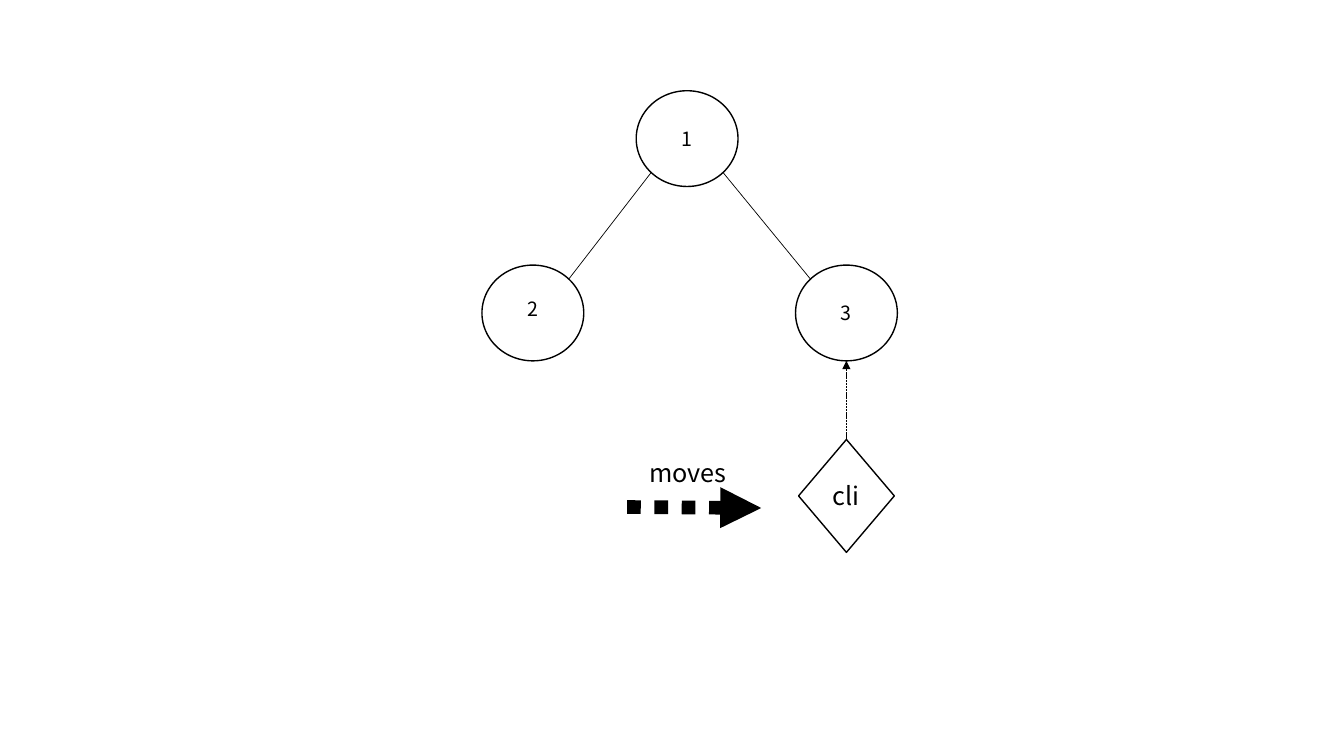
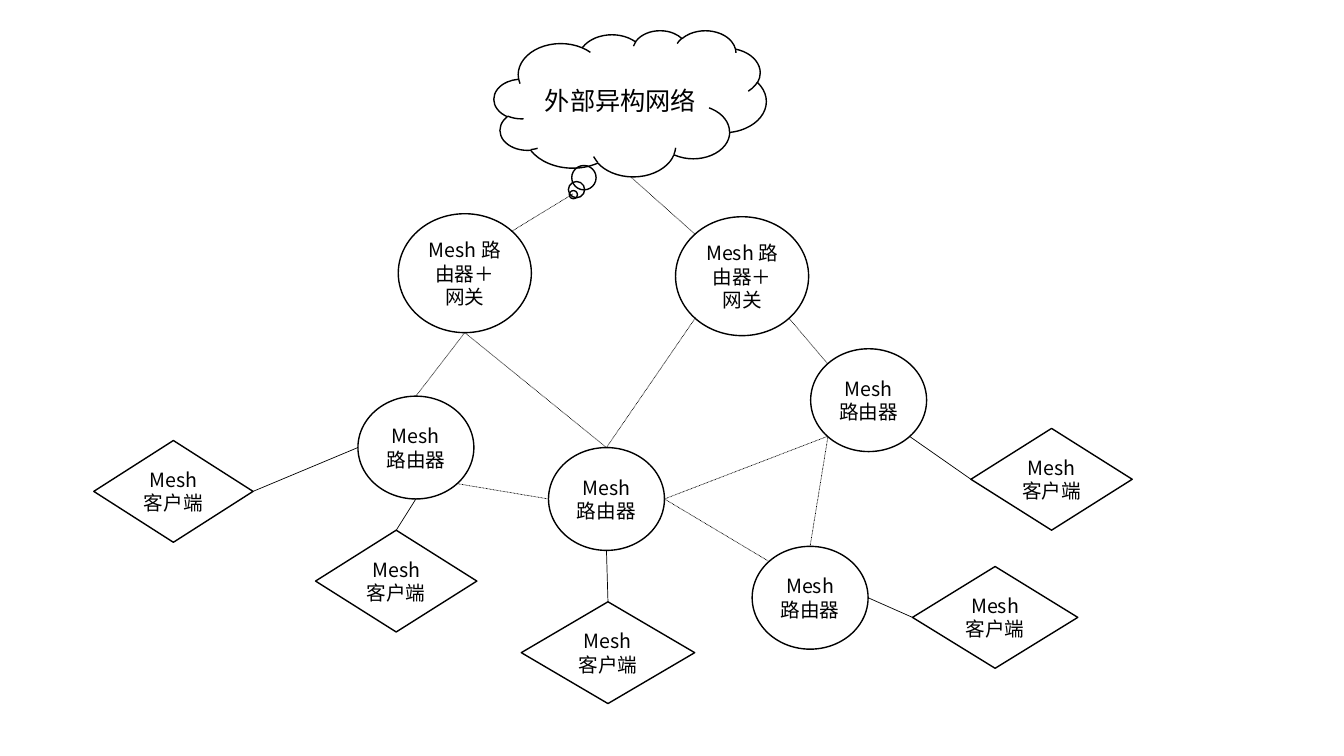
"""Build two network diagrams: a tree with a moving client, and a mesh topology."""
from lxml import etree
from pptx import Presentation
from pptx import util as u
from pptx.dml.color import RGBColor
from pptx.enum import dml, shapes, text
from pptx.oxml.ns import qn

BLACK = RGBColor(0, 0, 0)
FONT = "Noto Sans CJK SC"
SHAPE = shapes.MSO_SHAPE
DASH = dml.MSO_LINE.SQUARE_DOT
DOT = dml.MSO_LINE.ROUND_DOT

NODE = (1.01, 0.95)
GATEWAY = (1.32, 1.18)
ROUTER = (1.15, 1.02)

# name: (preset, left, top, (width, height), paragraphs, size)
TREE_NODES = {
    "left": (SHAPE.OVAL, 4.78, 2.63, NODE, ["2"], 14),
    "root": (SHAPE.OVAL, 6.31, 0.9, NODE, ["1"], 14),
    "right": (SHAPE.OVAL, 7.89, 2.63, NODE, ["3"], 14),
    "client": (SHAPE.DIAMOND, 7.92, 4.36, (0.95, 1.12), ["cli"], 18),
}
TREE_LINKS = [
    ("root", "bottom right", "right", "top left", {}),
    ("root", "bottom left", "left", "top right", {}),
    ("client", "top", "right", "bottom", {"dash": DASH, "arrow": True}),
]
MOVE_ARROW = ((6.22, 5.03), (7.55, 5.04))
MOVE_LABEL = (6.34, 4.49, 1.55, 0.4)

GATEWAY_TEXT = ["Mesh 路由器＋网关"]
ROUTER_TEXT = ["Mesh", "路由器"]
CLIENT_TEXT = ["Mesh 客户端"]
CLIENT = SHAPE.FLOWCHART_DECISION
MESH_NODES = {
    "cloud": (SHAPE.CLOUD_CALLOUT, 4.9, 0.3, (2.7, 1.45), ["外部异构网络"], 18),
    "gateway 1": (SHAPE.OVAL, 3.95, 2.12, GATEWAY, GATEWAY_TEXT, 14),
    "gateway 2": (SHAPE.OVAL, 6.7, 2.15, GATEWAY, GATEWAY_TEXT, 14),
    "router 1": (SHAPE.OVAL, 3.55, 3.93, ROUTER, ["Mesh路由器"], 14),
    "router 2": (SHAPE.OVAL, 5.44, 4.44, ROUTER, ["Mesh 路由器"], 14),
    "router 3": (SHAPE.OVAL, 8.04, 3.46, ROUTER, ROUTER_TEXT, 14),
    "router 4": (SHAPE.OVAL, 7.46, 5.42, ROUTER, ROUTER_TEXT, 14),
    "client 1": (CLIENT, 0.93, 4.37, (1.58, 1.01), CLIENT_TEXT, 14),
    "client 2": (CLIENT, 3.13, 5.26, (1.6, 1.01), CLIENT_TEXT, 14),
    "client 3": (CLIENT, 5.17, 5.97, (1.72, 1.01), CLIENT_TEXT, 14),
    "client 4": (CLIENT, 9.63, 4.25, (1.6, 1.01), CLIENT_TEXT, 14),
    "client 5": (CLIENT, 9.05, 5.62, (1.64, 1.01), CLIENT_TEXT, 14),
}
WIRELESS = {"dash": DOT}
MESH_LINKS = [
    ("gateway 1", "top right", "cloud", "tail", WIRELESS),
    ("gateway 2", "top left", "cloud", "bottom", WIRELESS),
    ("router 1", "top", "gateway 1", "bottom", WIRELESS),
    ("router 2", "top", "gateway 1", "bottom", WIRELESS),
    ("router 2", "top", "gateway 2", "bottom left", WIRELESS),
    ("router 3", "top left", "gateway 2", "bottom right", WIRELESS),
    ("router 1", "bottom right", "router 2", "left", WIRELESS),
    ("router 2", "right", "router 3", "bottom left", WIRELESS),
    ("router 4", "top left", "router 2", "right", WIRELESS),
    ("router 4", "top", "router 3", "bottom left", WIRELESS),
    ("client 1", "right", "router 1", "left", {}),
    ("client 2", "top", "router 1", "bottom", {}),
    ("client 3", "top", "router 2", "bottom", {}),
    ("client 4", "left", "router 3", "bottom right", {}),
    ("client 5", "left", "router 4", "right", {}),
]

NEAR, FAR = 0.15, 0.85
SITES = {
    "top": (0.5, 0), "left": (0, 0.5), "bottom": (0.5, 1), "right": (1, 0.5),
    "top left": (NEAR, NEAR), "top right": (FAR, NEAR),
    "bottom left": (NEAR, FAR), "bottom right": (FAR, FAR),
    "tail": (0.29, 1.12),
}
SIDES = ["top", "left", "bottom", "right"]
FOUR_SIDED = (SHAPE.DIAMOND, CLIENT)


def write(tf, paragraphs, size=14, align=text.PP_ALIGN.CENTER, anchor=text.MSO_ANCHOR.MIDDLE):
    """Fill a text frame with paragraphs in the shared font."""
    tf.word_wrap = True
    tf.vertical_anchor = anchor
    for i, line in enumerate(paragraphs):
        p = tf.add_paragraph() if i else tf.paragraphs[0]
        p.alignment = align
        r = p.add_run()
        r.text = line
        r.font.size = u.Pt(size)
        r.font.color.rgb = BLACK
        r.font.name = FONT
        etree.SubElement(r.font._element, qn("a:ea")).set("typeface", FONT)


def add_node(slide, preset, left, top, size, paragraphs, points):
    """Add an outlined shape with centred text."""
    sp = slide.shapes.add_shape(preset, *map(u.Inches, (left, top, *size)))
    sp.shadow.inherit = False
    sp.fill.background()
    sp.line.color.rgb = BLACK
    sp.line.width = u.Pt(1)
    write(sp.text_frame, paragraphs, points)
    return sp


def add_line(slide, start, end, width=0.5, dash=None, arrow=False):
    """Add a straight black line between two points."""
    cxn = slide.shapes.add_connector(shapes.MSO_CONNECTOR.STRAIGHT, *start, *end)
    cxn.line.color.rgb = BLACK
    cxn.line.width = u.Pt(width)
    if dash:
        cxn.line.dash_style = dash
    spPr = cxn.element.spPr
    if arrow:
        etree.SubElement(spPr.find(qn("a:ln")), qn("a:tailEnd")).set("type", "triangle")
    etree.SubElement(spPr, qn("a:effectLst"))
    return cxn


def site_point(sp, site):
    """Return the point of a named site on a shape."""
    fx, fy = SITES[site]
    return round(sp.left + fx * sp.width), round(sp.top + fy * sp.height)


def add_diagram(slide, nodes, links):
    """Draw the nodes, then the links between their sites."""
    drawn = {name: add_node(slide, *node) for name, node in nodes.items()}
    for source, source_site, target, target_site, style in links:
        a, b = drawn[source], drawn[target]
        cxn = add_line(slide, site_point(a, source_site), site_point(b, target_site), **style)
        if a.auto_shape_type in FOUR_SIDED:
            cxn.begin_connect(a, SIDES.index(source_site))
    return drawn


def add_tree_slide(prs):
    """Draw the tree and the arrow of the moving client."""
    slide = prs.slides.add_slide(prs.slide_layouts[6])
    drawn = add_diagram(slide, TREE_NODES, TREE_LINKS)
    drawn["left"].text_frame.margin_bottom = u.Inches(0.13)
    start, end = (tuple(map(u.Inches, point)) for point in MOVE_ARROW)
    add_line(slide, start, end, width=9.75, dash=DOT, arrow=True)
    label = slide.shapes.add_textbox(*map(u.Inches, MOVE_LABEL))
    write(label.text_frame, ["moves"], 18, text.PP_ALIGN.LEFT, text.MSO_ANCHOR.TOP)


def add_mesh_slide(prs):
    """Draw the mesh network."""
    slide = prs.slides.add_slide(prs.slide_layouts[6])
    add_diagram(slide, MESH_NODES, MESH_LINKS)


def main():
    """Build and save the presentation."""
    prs = Presentation()
    prs.slide_width, prs.slide_height = u.Inches(13.33), u.Inches(7.5)
    add_tree_slide(prs)
    add_mesh_slide(prs)
    prs.save("out.pptx")


if __name__ == "__main__":
    main()
